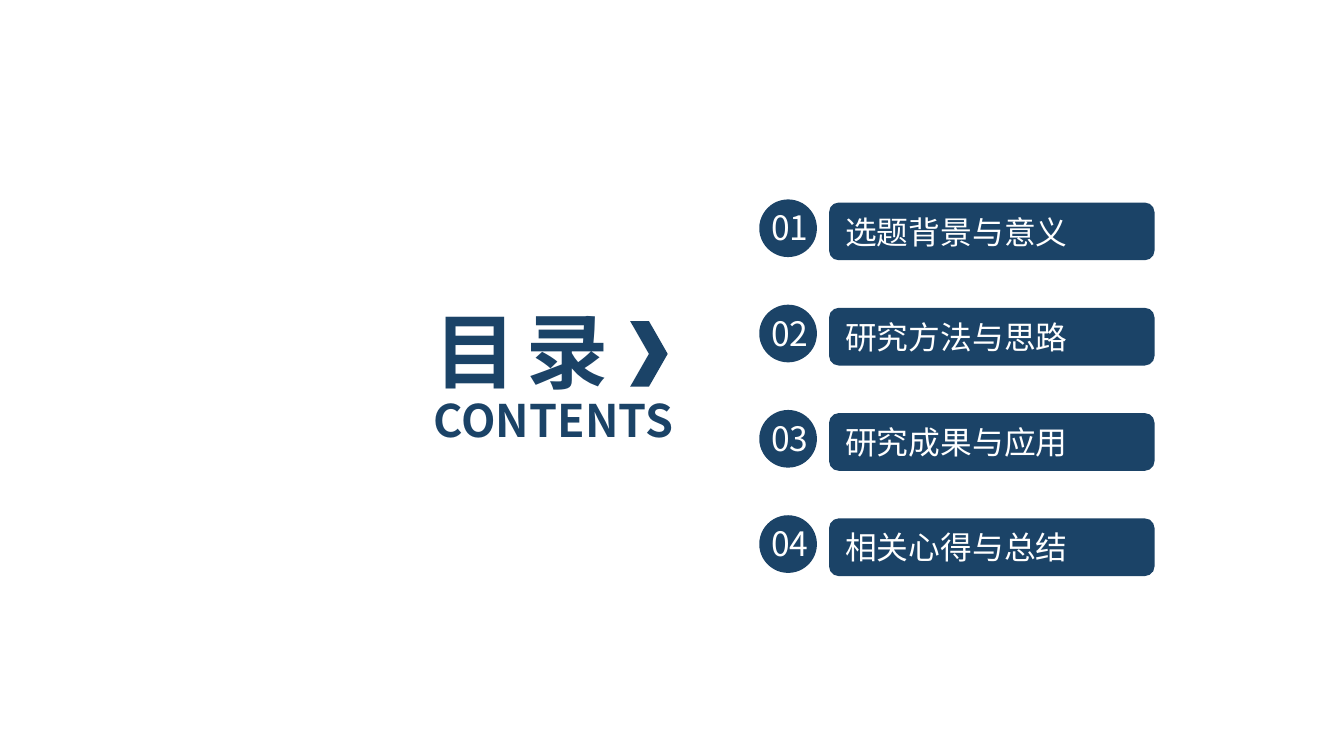
from lxml.etree import SubElement
from pptx import Presentation
from pptx.dml.color import RGBColor
from pptx.enum.shapes import MSO_SHAPE as Preset
from pptx.enum.text import MSO_ANCHOR as Anchor, MSO_AUTO_SIZE as AutoSize, PP_ALIGN as Align
from pptx.oxml.ns import qn
from pptx.util import Cm, Pt

NAVY = "1B4367"
WHITE = "FFFFFF"
FONT = "Noto Sans CJK SC"
TOPICS = ["选题背景与意义", "研究方法与思路", "研究成果与应用", "相关心得与总结"]
FIRST_TOP = 3.83
PITCH = 1.99
ITEM_HEIGHT = 1.09


def color(hex_value):
    return RGBColor.from_string(hex_value)


def lengths(*values):
    return [Cm(value) for value in values]


def write(shape, text, size, fill=WHITE, bold=False, align=Align.LEFT, spacing=None):
    frame = shape.text_frame
    frame.word_wrap = True
    frame.auto_size = AutoSize.NONE
    frame.vertical_anchor = Anchor.MIDDLE
    paragraph = frame.paragraphs[0]
    paragraph.alignment = align
    paragraph.line_spacing = 1.0
    run = paragraph.add_run()
    run.text = text
    run.font.size = Pt(size)
    run.font.bold = bold
    run.font.color.rgb = color(fill)
    run.font.name = FONT
    properties = run.font._element
    SubElement(properties, qn("a:ea")).set("typeface", FONT)
    if spacing is not None:
        properties.set("spc", str(round(spacing * 100)))


def add_solid(shapes, preset, *box):
    shape = shapes.add_shape(preset, *lengths(*box))
    shape.shadow.inherit = False
    shape.fill.solid()
    shape.fill.fore_color.rgb = color(NAVY)
    shape.line.fill.background()
    return shape


def add_label(shapes, text, box, **text_format):
    write(shapes.add_textbox(*lengths(*box)), text, **text_format)


def add_heading(slide):
    title = slide.shapes.title
    title.left, title.top, title.width, title.height = lengths(7.95, 5.54, 5.97, 2.13)
    write(title, "目 录", size=44, fill=NAVY, bold=True, spacing=-2.2)
    add_label(slide.shapes, "CONTENTS", (7.95, 7.3, 5.87, 1.27), size=24, fill=NAVY, bold=True)
    add_solid(slide.shapes, Preset.CHEVRON, 11.91, 6.07, 0.71, 1.24)


def add_topic(slide, number, topic):
    top = FIRST_TOP + (number - 1) * PITCH
    bar = add_solid(slide.shapes, Preset.ROUNDED_RECTANGLE, 15.67, top, 6.15, ITEM_HEIGHT)
    write(bar, topic, size=17)
    badge = slide.shapes.add_group_shape().shapes
    add_solid(badge, Preset.OVAL, 14.35, top - 0.06, ITEM_HEIGHT, ITEM_HEIGHT)
    add_label(badge, f"{number:02d}", (14.27, top - 0.04, 1.32, 1.02), size=18, align=Align.CENTER)


def main():
    presentation = Presentation()
    presentation.slide_width, presentation.slide_height = lengths(25.4, 14.29)
    slide = presentation.slides.add_slide(presentation.slide_layouts.get_by_name("Title Only"))
    add_heading(slide)
    for number, topic in enumerate(TOPICS, start=1):
        add_topic(slide, number, topic)
    presentation.save("out.pptx")


if __name__ == "__main__":
    main()
